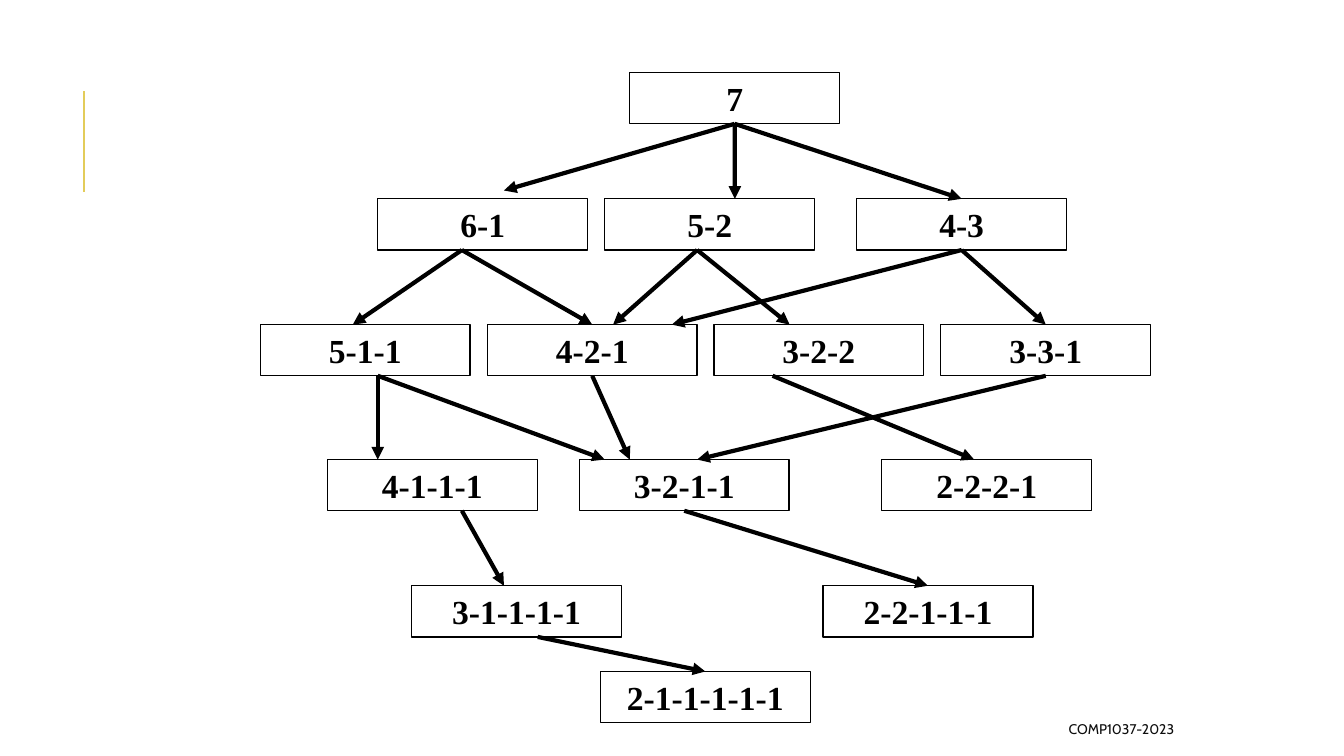
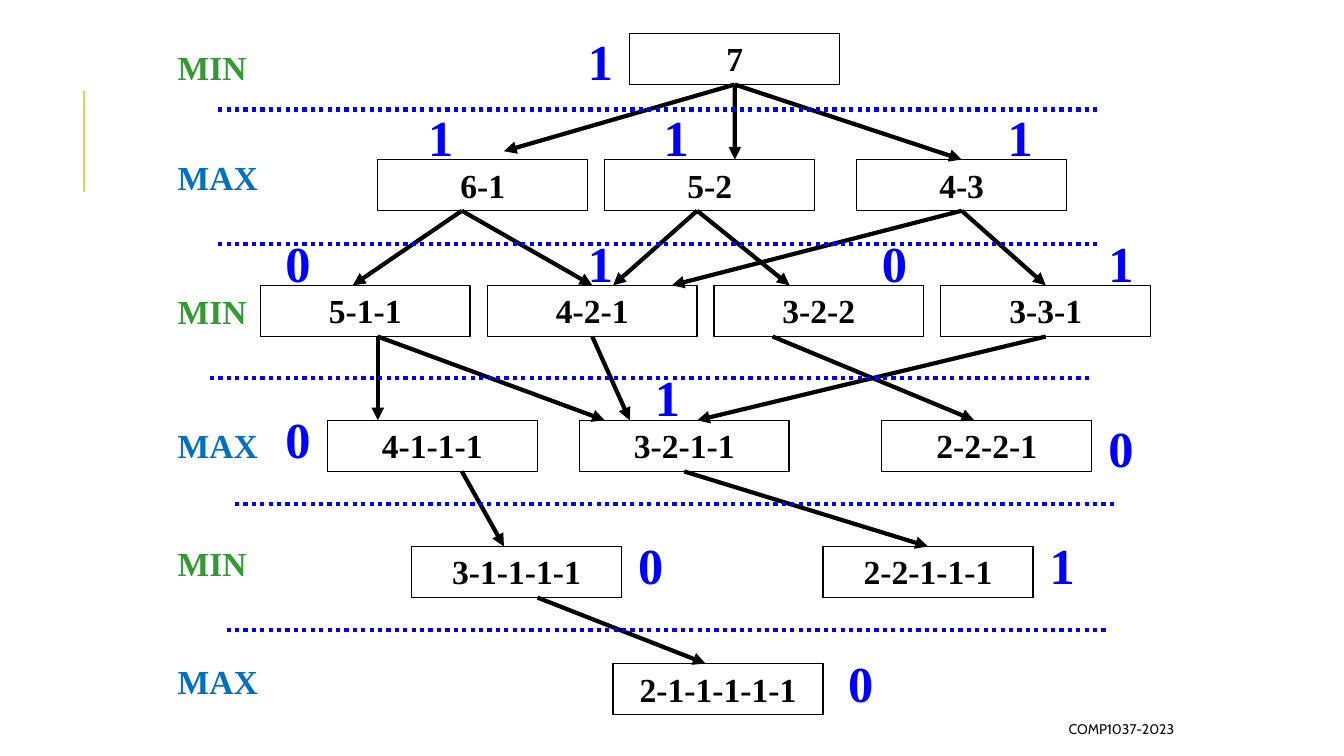
from lxml.etree import SubElement
from pptx import Presentation
from pptx.dml.color import RGBColor
from pptx.enum.dml import MSO_LINE
from pptx.enum.shapes import MSO_CONNECTOR, MSO_SHAPE
from pptx.enum.text import MSO_ANCHOR, PP_ALIGN
from pptx.oxml.ns import qn
from pptx.util import Cm, Pt

BLACK = RGBColor(0x00, 0x00, 0x00)
FOOTER_GREY = RGBColor(0x0D, 0x0D, 0x0D)
ACCENT = RGBColor(0xE3, 0xCC, 0x5A)
SCORE_BLUE = RGBColor(0x00, 0x00, 0xFF)
PLAYER_COLORS = {"MIN": RGBColor(0x33, 0x99, 0x33), "MAX": RGBColor(0x00, 0x70, 0xC0)}

STATE_WIDTH, STATE_HEIGHT = 5.29, 1.29
MIDDLE_TOLERANCE = 0.12
TOP_SIDE, BOTTOM_SIDE = 0, 2
LEVEL_TOPS = [0, 3.18, 6.35, 9.75, 12.93]
LAST_STATE = "2-1-1-1-1-1"
LEVELS = [
    {"7": 9.31},
    {"6-1": 2.96, "5-2": 8.68, "4-3": 15.03},
    {"5-1-1": 0, "4-2-1": 5.72, "3-2-2": 11.43, "3-3-1": 17.15},
    {"4-1-1-1": 1.69, "3-2-1-1": 8.04, "2-2-2-1": 15.66},
    {"3-1-1-1-1": 3.81, "2-2-1-1-1": 14.18},
]
MOVES = [
    ("7", 11.85, [("6-1", 6.14), ("5-2", 11.96), ("4-3", 17.57)]),
    ("6-1", 5.08, [("5-1-1", 2.33), ("4-2-1", 8.47)]),
    ("5-2", 11.01, [("4-2-1", 8.89), ("3-2-2", 13.34)]),
    ("4-3", 17.57, [("4-2-1", 10.37), ("3-3-1", 19.9)]),
    ("5-1-1", 2.96, [("4-1-1-1", 2.96), ("3-2-1-1", 8.68)]),
    ("4-2-1", 8.26, [("3-2-1-1", 9.31)]),
    ("3-3-1", 19.69, [("3-2-1-1", 11.01)]),
    ("3-2-2", 12.91, [("2-2-2-1", 17.99)]),
    ("4-1-1-1", 5.08, [("3-1-1-1-1", 6.14)]),
    ("3-2-1-1", 10.58, [("2-2-1-1-1", 16.72)]),
    ("3-1-1-1-1", 6.99, [(LAST_STATE, 11.22)]),
]
END_LIFTS = {"6-1": 0.21}

DIVIDER_LENGTH = 22.23
DIVIDERS = [(1.27, 2.12), (1.27, 5.5), (1.06, 8.89), (1.69, 12.07), (1.48, 15.24)]
PLAYER_TOPS = [0.42, 3.18, 6.56, 9.95, 12.91, 15.88]
SCORES = [
    (0, [("1", 10.16)]),
    (1.91, [("1", 6.14), ("1", 12.07), ("1", 20.74)]),
    (5.08, [("0", 2.54), ("1", 10.16), ("0", 17.57), ("1", 23.28)]),
    (8.47, [("1", 11.85)]),
    (9.53, [("0", 2.54)]),
    (9.74, [("0", 23.28)]),
    (12.7, [("0", 11.43), ("1", 21.8)]),
    (15.66, [("0", 16.72)]),
]


def write_text(shape, text, size=24, color=BLACK, font="Times New Roman", bold=True,
               align=PP_ALIGN.CENTER, anchor=MSO_ANCHOR.TOP):
    """Write one formatted line into a shape."""
    frame = shape.text_frame
    frame.word_wrap = True
    frame.vertical_anchor = anchor
    paragraph = frame.paragraphs[0]
    paragraph.alignment = align
    run = paragraph.add_run()
    run.text = text
    run.font.name = font
    run.font.size = Pt(size)
    run.font.bold = bold
    run.font.color.rgb = color


def add_label(slide, left, top, width, height, text, **text_format):
    """Place a text box given in centimetres."""
    label = slide.shapes.add_textbox(Cm(left), Cm(top), Cm(width), Cm(height))
    write_text(label, text, **text_format)


def add_line(slide, start, end, color=BLACK, width=3, dash=None, arrow=False):
    """Draw a straight line between two points in centimetres."""
    line = slide.shapes.add_connector(
        MSO_CONNECTOR.STRAIGHT, *(Cm(value) for value in (*start, *end)))
    line.line.color.rgb = color
    line.line.width = Pt(width)
    if dash:
        line.line.dash_style = dash
    if arrow:
        SubElement(line.line._get_or_add_ln(), qn("a:tailEnd"), type="triangle")
    SubElement(line._element.spPr, qn("a:effectLst"))
    return line


def add_state(slide, left, top, text):
    """Draw one outlined game state."""
    state = slide.shapes.add_shape(
        MSO_SHAPE.RECTANGLE, Cm(left), Cm(top), Cm(STATE_WIDTH), Cm(STATE_HEIGHT))
    state.shadow.inherit = False
    state.fill.background()
    state.line.color.rgb = BLACK
    state.line.width = Pt(1)
    write_text(state, text)
    return state


def add_tree(slide, left, top, last_position):
    """Draw the game tree with its top left corner at the given point."""
    positions = {text: (x, y) for y, level in zip(LEVEL_TOPS, LEVELS)
                 for text, x in level.items()}
    positions[LAST_STATE] = last_position
    states = {text: add_state(slide, left + x, top + y, text)
              for text, (x, y) in positions.items()}

    def at_middle(text, x):
        return abs(x - positions[text][0] - STATE_WIDTH / 2) < MIDDLE_TOLERANCE

    for parent, start_x, children in MOVES:
        start_y = positions[parent][1] + STATE_HEIGHT
        for child, end_x in children:
            end_y = positions[child][1] - END_LIFTS.get(child, 0)
            move = add_line(slide, (left + start_x, top + start_y),
                            (left + end_x, top + end_y), arrow=True)
            if at_middle(parent, start_x):
                move.begin_connect(states[parent], BOTTOM_SIDE)
            if at_middle(child, end_x):
                move.end_connect(states[child], TOP_SIDE)


def add_minimax(slide, left, top):
    """Add the level dividers, players and scores from the given corner."""
    for x, y in DIVIDERS:
        add_line(slide, (left + x, top + y), (left + x + DIVIDER_LENGTH, top + y),
                 color=SCORE_BLUE, dash=MSO_LINE.ROUND_DOT)
    for index, y in enumerate(PLAYER_TOPS):
        player = ("MIN", "MAX")[index % 2]
        add_label(slide, left, top + y, 2.54, 1.27, player,
                  color=PLAYER_COLORS[player], align=PP_ALIGN.LEFT)
    for y, row in SCORES:
        for score, x in row:
            add_label(slide, left + x, top + y, 1.48, 1.78, score,
                      size=36, color=SCORE_BLUE)


def add_base_slide(presentation):
    """Add a blank slide with the accent line and footer."""
    slide = presentation.slides.add_slide(presentation.slide_layouts[6])
    add_line(slide, (2.12, 4.83), (2.12, 2.29), color=ACCENT, width=1.5)
    add_label(slide, 13.46, 17.98, 16.38, 0.76, "COMP1037-2023", size=10,
              color=FOOTER_GREY, font="Cabin", bold=False,
              align=PP_ALIGN.RIGHT, anchor=MSO_ANCHOR.MIDDLE)
    return slide


def main():
    """Build and save the two slides."""
    presentation = Presentation()
    presentation.slide_width = Cm(33.87)
    presentation.slide_height = Cm(19.05)
    add_tree(add_base_slide(presentation), 6.56, 1.83, last_position=(8.57, 15.09))
    minimax_slide = add_base_slide(presentation)
    add_tree(minimax_slide, 6.56, 0.84, last_position=(8.89, 15.88))
    add_minimax(minimax_slide, 4.23, 0.64)
    presentation.save("out.pptx")


if __name__ == "__main__":
    main()
